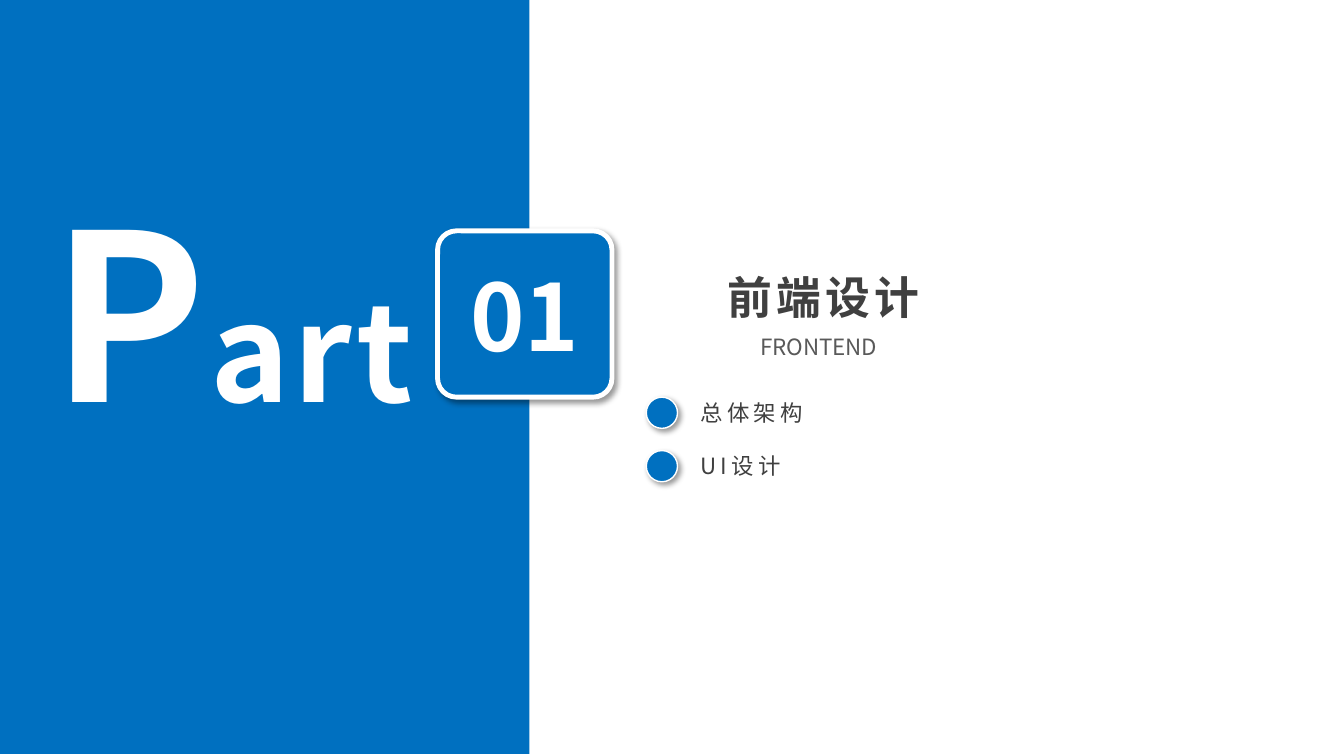
from pptx import Presentation
from pptx.dml.color import RGBColor
from pptx.enum.shapes import MSO_SHAPE as Shape
from pptx.enum.text import MSO_ANCHOR as Anchor, PP_ALIGN as Align
from pptx.oxml import parse_xml
from pptx.oxml.ns import nsdecls
from pptx.util import Inches, Pt

FONT = "Noto Sans CJK SC"
BLUE, WHITE, DARK, GRAY = "0070C0", "FFFFFF", "404040", "595959"
ITEM_PITCH = 0.53
ITEM_SIZE = 16


def color(value):
    return RGBColor.from_string(value)


def place(item, left, top, width, height):
    item.left, item.top = Inches(left), Inches(top)
    item.width, item.height = Inches(width), Inches(height)


def add_panel(slide, kind, box, line_width=0):
    """Add a blue shape; an outlined one also gets a soft shadow."""
    panel = slide.shapes.add_shape(kind, *map(Inches, box))
    panel.shadow.inherit = False
    panel.fill.solid()
    panel.fill.fore_color.rgb = color(BLUE)
    if not line_width:
        panel.line.fill.background()
        return panel
    panel.line.color.rgb = color(WHITE)
    panel.line.width = Pt(line_width)
    effects = panel._element.spPr.find("{*}effectLst")
    effects.append(parse_xml(
        f'<a:outerShdw {nsdecls("a")} blurRad="{Pt(4)}" dist="{Pt(3)}" dir="2700000" '
        'algn="tl" rotWithShape="0"><a:srgbClr val="000000">'
        '<a:alpha val="40000"/></a:srgbClr></a:outerShdw>'))
    return panel


def format_span(span, size, hue, bold=False, spacing=0):
    span.font.name = FONT
    span.font.size = Pt(size)
    span.font.bold = bold
    span.font.color.rgb = color(hue)
    properties = span._r.get_or_add_rPr()
    properties.set("spc", str(spacing * 100))
    properties.insert_element_before(
        parse_xml(f'<a:ea {nsdecls("a")} typeface="{FONT}"/>'), "a:cs", "a:sym")


def prepare_frame(holder, align):
    frame = holder.text_frame
    frame.word_wrap = True
    frame.vertical_anchor = Anchor.TOP
    for para in frame.paragraphs:
        para.alignment = align
    return frame


def add_text(slide, box, spans, align=Align.LEFT):
    """Add one paragraph of (text, format) spans."""
    holder = slide.shapes.add_textbox(*map(Inches, box))
    para = prepare_frame(holder, align).paragraphs[0]
    for text, style in spans:
        span = para.add_run()
        span.text = text
        format_span(span, **style)


def add_part_panel(slide, left, top, width, height):
    """Blue side panel with the word Part."""
    add_panel(slide, Shape.RECTANGLE, (left, top, width, height))
    style = dict(hue=WHITE, bold=True, spacing=3)
    add_text(slide, (left - 0.83, top + 1.66, 6.27, 2.89),
             [("P", dict(style, size=166)), ("art", dict(style, size=96))], Align.CENTER)


def add_number_badge(slide, left, top, width, height):
    badge = add_panel(slide, Shape.ROUNDED_RECTANGLE, (left, top, width, height), 3.5)
    badge.adjustments[0] = 0.114
    add_text(slide, (left - 0.06, top + 0.23, width + 0.12, 1.21),
             [("01", dict(size=66, hue=WHITE, bold=True))], Align.CENTER)


def add_heading(slide, left, top, width, height):
    title = slide.shapes.title
    place(title, left, top, width, height)
    title.text_frame.text = "前端设计"
    frame = prepare_frame(title, Align.CENTER)
    format_span(frame.paragraphs[0].runs[0], 32, DARK, True, 3)
    add_text(slide, (left + 1.17, top + 0.63, 4.58, 0.37),
             [("FRONTEND", dict(size=16, hue=GRAY))])


def add_topics(slide, left, top, width, topics):
    """Topic list with a round marker beside each line."""
    body = slide.placeholders[1]
    place(body, left + 0.44, top, width - 0.44, 0.37 + ITEM_PITCH * (len(topics) - 1))
    body.text_frame.text = "\n".join(topics)
    frame = prepare_frame(body, Align.LEFT)
    for index, para in enumerate(frame.paragraphs):
        properties = para._p.get_or_add_pPr()
        properties.set("marL", "0")
        properties.set("indent", "0")
        properties.append(parse_xml(f'<a:buNone {nsdecls("a")}/>'))
        # Line height is 1.2 times the text size
        para.space_before = Pt(round(ITEM_PITCH * 72 - 1.2 * ITEM_SIZE) if index else 0)
        format_span(para.runs[0], ITEM_SIZE, DARK, spacing=3)
        add_panel(slide, Shape.OVAL,
                  (left, top + 0.03 + index * ITEM_PITCH, 0.31, 0.31), 1)


def build_section(deck):
    slide = deck.slides.add_slide(deck.slide_layouts[1])
    add_part_panel(slide, 0, -0.02, 5.25, 7.5)
    add_number_badge(slide, 4.34, 2.29, 1.73, 1.65)
    add_heading(slide, 6.27, 2.63, 3.79, 0.64)
    add_topics(slide, 6.41, 3.91, 2.23, ["总体架构", "UI设计"])


def main():
    deck = Presentation()
    deck.slide_width, deck.slide_height = Inches(13.33), Inches(7.5)
    build_section(deck)
    deck.save("out.pptx")


if __name__ == "__main__":
    main()
